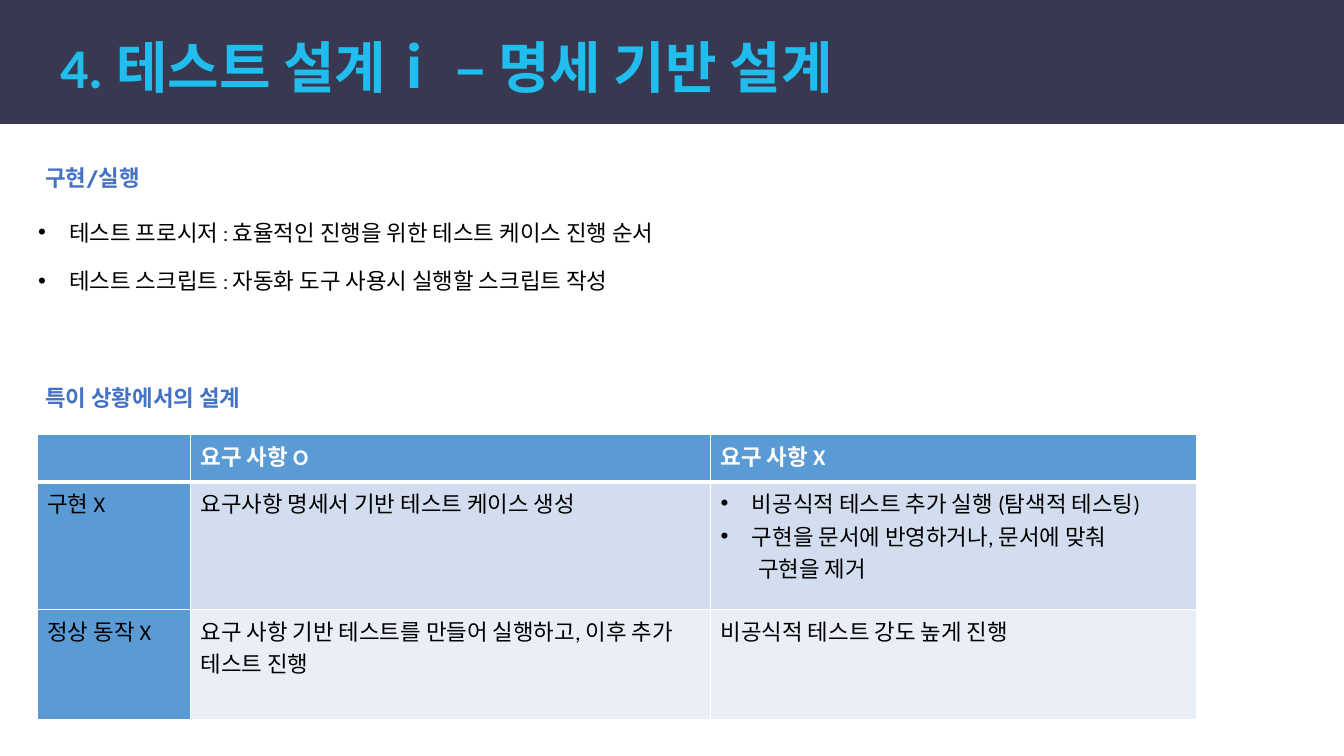
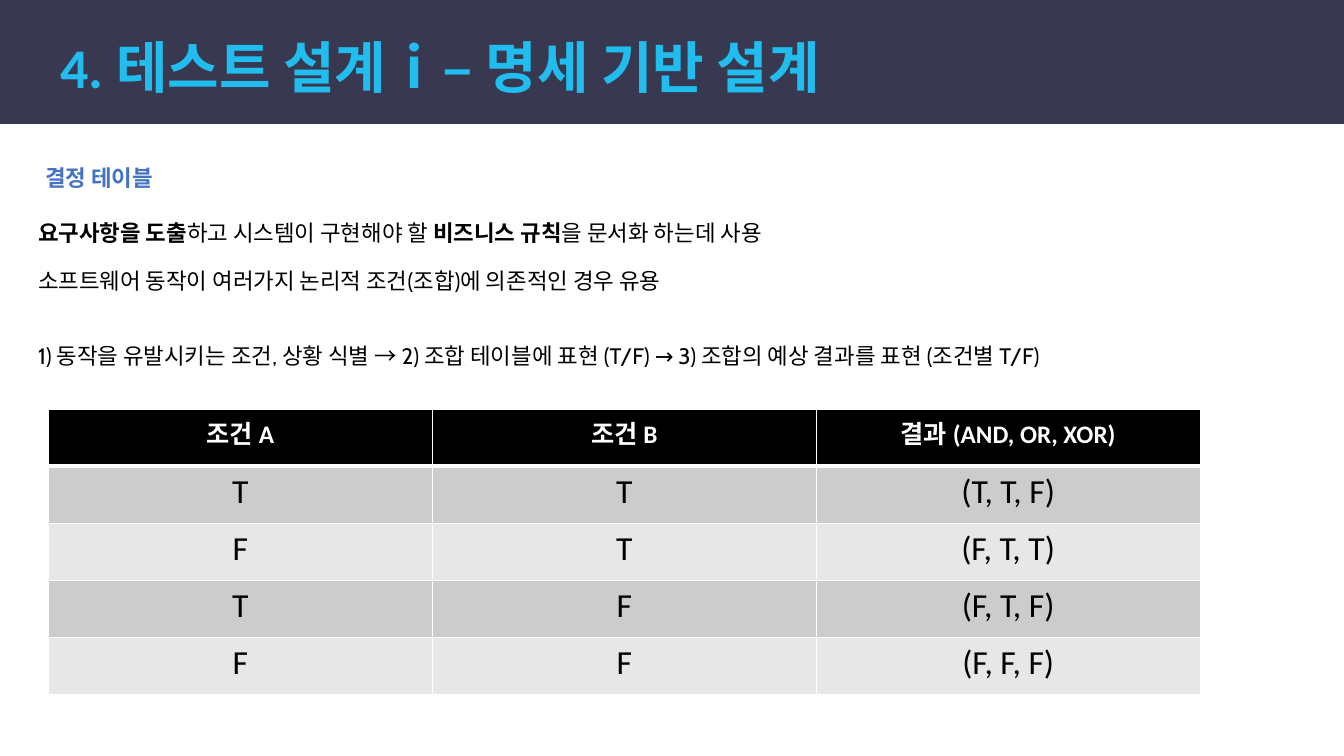
from dataclasses import dataclass
from lxml import etree
from pptx import Presentation
from pptx.dml.color import RGBColor
from pptx.enum.shapes import MSO_SHAPE
from pptx.enum.text import MSO_ANCHOR, PP_ALIGN
from pptx.oxml.ns import qn
from pptx.slide import Slide
from pptx.text.text import TextFrame
from pptx.util import Emu, Inches, Pt

RECT = MSO_SHAPE.RECTANGLE
TOP, MIDDLE = MSO_ANCHOR.TOP, MSO_ANCHOR.MIDDLE
LEFT, CENTER = PP_ALIGN.LEFT, PP_ALIGN.CENTER
WIDTH, HEIGHT = Inches(13.33), Inches(7.5)
HANG = 0.31  # bullet indent, inches


@dataclass(frozen=True)
class Theme:
    band: str = "383951"
    title: str = "21BDEE"
    head: str = "4472C4"
    ink: str = "000000"
    white: str = "FFFFFF"
    blue: str = "5B9BD5"
    blues: tuple[str, str] = ("D2DEEF", "EAEFF7")
    grays: tuple[str, str] = ("CCCCCC", "E7E7E7")
    sans: str = "Cabin"
    plain: str = "Calibri"
    huge: int = 40
    large: int = 24
    medium: int = 18
    small: int = 16


THEME = Theme()


@dataclass(frozen=True)
class Box:
    """Place and size in percent of the slide."""
    x: float
    y: float
    w: float
    h: float

    def place(self) -> tuple[Emu, Emu, Emu, Emu]:
        return (Emu(int(WIDTH * self.x / 100)), Emu(int(HEIGHT * self.y / 100)),
                Emu(int(WIDTH * self.w / 100)), Emu(int(HEIGHT * self.h / 100)))


@dataclass(frozen=True)
class Run:
    text: str
    bold: bool = False


@dataclass(frozen=True)
class Para:
    runs: tuple[Run, ...]
    gap: float = 0  # space before, points
    bullet: bool = False
    inset: float = 0  # inches


@dataclass(frozen=True)
class Style:
    size: int
    font: str
    color: str
    bold: bool = False
    align: PP_ALIGN = LEFT


@dataclass(frozen=True)
class Grid:
    box: Box
    cols: tuple[float, ...]
    rows: tuple[float, ...]
    cells: tuple[tuple[tuple[Para, ...], ...], ...]
    header: Style
    body: Style
    fill: str
    bands: tuple[str, str]
    side: bool = False  # first column takes the header fill


TITLE = Style(THEME.huge, THEME.plain, THEME.title, True)
HEAD = Style(THEME.small, THEME.sans, THEME.head, True)
BODY = Style(THEME.small, THEME.sans, THEME.ink)


def line(text: str, gap: float = 0, bullet: bool = False, inset: float = 0) -> Para:
    return Para((Run(text),), gap, bullet, inset)


# Text
def write(frame: TextFrame, paras: tuple[Para, ...], style: Style,
          lead: float | None = None) -> None:
    frame.word_wrap = True
    for i, para in enumerate(paras):
        p = frame.paragraphs[0] if i == 0 else frame.add_paragraph()
        p.alignment = style.align
        if lead:
            p.line_spacing = lead
        if para.gap:
            p.space_before = Pt(para.gap)
        props = p._p.get_or_add_pPr()
        inset = HANG if para.bullet else para.inset
        if inset:
            props.set("marL", str(Inches(inset)))
        if para.bullet:
            props.set("indent", str(-Inches(HANG)))
            etree.SubElement(props, qn("a:buFont"), typeface="Arial")
            etree.SubElement(props, qn("a:buChar"), char="•")
        for part in para.runs:
            run = p.add_run()
            run.text = part.text
            font = run.font
            font.size, font.name = Pt(style.size), style.font
            font.bold = style.bold or part.bold
            font.color.rgb = RGBColor.from_string(style.color)


def add_text(slide: Slide, box: Box, paras: tuple[Para, ...], style: Style) -> None:
    write(slide.shapes.add_textbox(*box.place()).text_frame, paras, style)


def add_head(slide: Slide, y: float, text: str) -> None:
    add_text(slide, Box(2.63, y, 75, 4.93), (line(text),), HEAD)


# Shared band and title
def add_page(deck: Presentation, title: str) -> Slide:
    slide = deck.slides.add_slide(deck.slide_layouts[6])
    band = slide.shapes.add_shape(RECT, *Box(0, 0, 100, 16.4).place())
    band.shadow.inherit = False
    band.fill.solid()
    band.fill.fore_color.rgb = RGBColor.from_string(THEME.band)
    band.line.fill.background()
    frame = slide.shapes.add_textbox(*Box(4.5, 5.2, 90, 8.13).place()).text_frame
    frame.margin_left = frame.margin_right = frame.margin_top = frame.margin_bottom = 0
    frame.vertical_anchor = MIDDLE
    write(frame, (line(title),), TITLE, 0.9)
    return slide


# Tables
def add_edge(props: etree._Element, side: str, width: float) -> None:
    edge = etree.SubElement(props, qn(f"a:ln{side}"), w=str(Pt(width)))
    fill = etree.SubElement(edge, qn("a:solidFill"))
    etree.SubElement(fill, qn("a:srgbClr"), val=THEME.white)


def add_grid(slide: Slide, grid: Grid) -> None:
    x, y, w, h = grid.box.place()
    table = slide.shapes.add_table(len(grid.rows), len(grid.cols), x, y, w, h).table
    for col, share in zip(table.columns, grid.cols):
        col.width = Emu(int(w * share / sum(grid.cols)))
    for row, share in zip(table.rows, grid.rows):
        row.height = Emu(int(h * share / sum(grid.rows)))
    for r, row in enumerate(grid.cells):
        for c, paras in enumerate(row):
            cell = table.cell(r, c)
            props = cell._tc.get_or_add_tcPr()
            for side in "LRTB":
                thick = (r, side) in ((0, "B"), (1, "T"))
                add_edge(props, side, 3 if thick else 1)
            top = r == 0 or (grid.side and c == 0)
            cell.fill.solid()
            cell.fill.fore_color.rgb = RGBColor.from_string(
                grid.fill if top else grid.bands[(r - 1) % 2])
            cell.vertical_anchor = TOP
            write(cell.text_frame, paras, grid.header if r == 0 else grid.body)


# Slide 1: special cases
CASES = Grid(
    Box(2.78, 57.47, 86.25, 37.73), (1.52, 5.16, 4.82), (0.47, 1.26, 1.09),
    (
        ((), (line("요구 사항 O"),), (line("요구 사항 X"),)),
        ((line("구현 X"),),
         (line("요구사항 명세서 기반 테스트 케이스 생성"),),
         (line("비공식적 테스트 추가 실행 (탐색적 테스팅)", bullet=True),
          line("구현을 문서에 반영하거나, 문서에 맞춰", bullet=True),
          line("구현을 제거", inset=0.37))),
        ((line("정상 동작 X"),),
         (line("요구 사항 기반 테스트를 만들어 실행하고, 이후 추가 테스트 진행"),),
         (line("비공식적 테스트 강도 높게 진행"),)),
    ),
    Style(THEME.small, THEME.plain, THEME.white, True),
    Style(THEME.small, THEME.plain, THEME.ink),
    THEME.blue, THEME.blues, True)


def add_cases(deck: Presentation) -> None:
    slide = add_page(deck, "4. 테스트 설계ⅰ – 명세 기반 설계")
    add_head(slide, 21.07, "구현/실행")
    add_text(slide, Box(2.1, 28.27, 93.1, 12.13), (
        line("테스트 프로시저 : 효율적인 진행을 위한 테스트 케이스 진행 순서", bullet=True),
        line("테스트 스크립트 : 자동화 도구 사용시 실행할 스크립트 작성", 15.5, True),
    ), BODY)
    add_head(slide, 50.13, "특이 상황에서의 설계")
    add_grid(slide, CASES)


# Slide 2: decision table
TRUTH = (("T", "T", "(T, T, F)"), ("F", "T", "(F, T, T)"),
         ("T", "F", "(F, T, F)"), ("F", "F", "(F, F, F)"))
NAMES = ("조건 A", "조건 B", "결과 (AND, OR, XOR)")
RULES = Grid(
    Box(3.6, 54.13, 85.7, 37.73), (1,) * 3, (1,) * 5,
    tuple(tuple((line(text),) for text in row) for row in (NAMES, *TRUTH)),
    Style(THEME.medium, THEME.plain, THEME.white, True, CENTER),
    Style(THEME.large, THEME.plain, THEME.ink, False, CENTER),
    THEME.ink, THEME.grays)


def add_rules(deck: Presentation) -> None:
    slide = add_page(deck, "4. 테스트 설계ⅰ– 명세 기반 설계")
    add_head(slide, 21.07, "결정 테이블")
    add_text(slide, Box(2.1, 28.27, 93.1, 26.53), (
        Para((Run("요구사항을 도출", True), Run("하고 시스템이 구현해야 할 "),
              Run("비즈니스 규칙", True), Run("을 문서화 하는데 사용"))),
        line("소프트웨어 동작이 여러가지 논리적 조건(조합)에 의존적인 경우 유용", 15.5),
        line("1) 동작을 유발시키는 조건, 상황 식별 → 2) 조합 테이블에 표현 (T/F) → "
             "3) 조합의 예상 결과를 표현 (조건별 T/F)", 34),
    ), BODY)
    add_grid(slide, RULES)


def main() -> None:
    deck = Presentation()
    deck.slide_width, deck.slide_height = WIDTH, HEIGHT
    add_cases(deck)
    add_rules(deck)
    deck.save("out.pptx")


if __name__ == "__main__":
    main()
